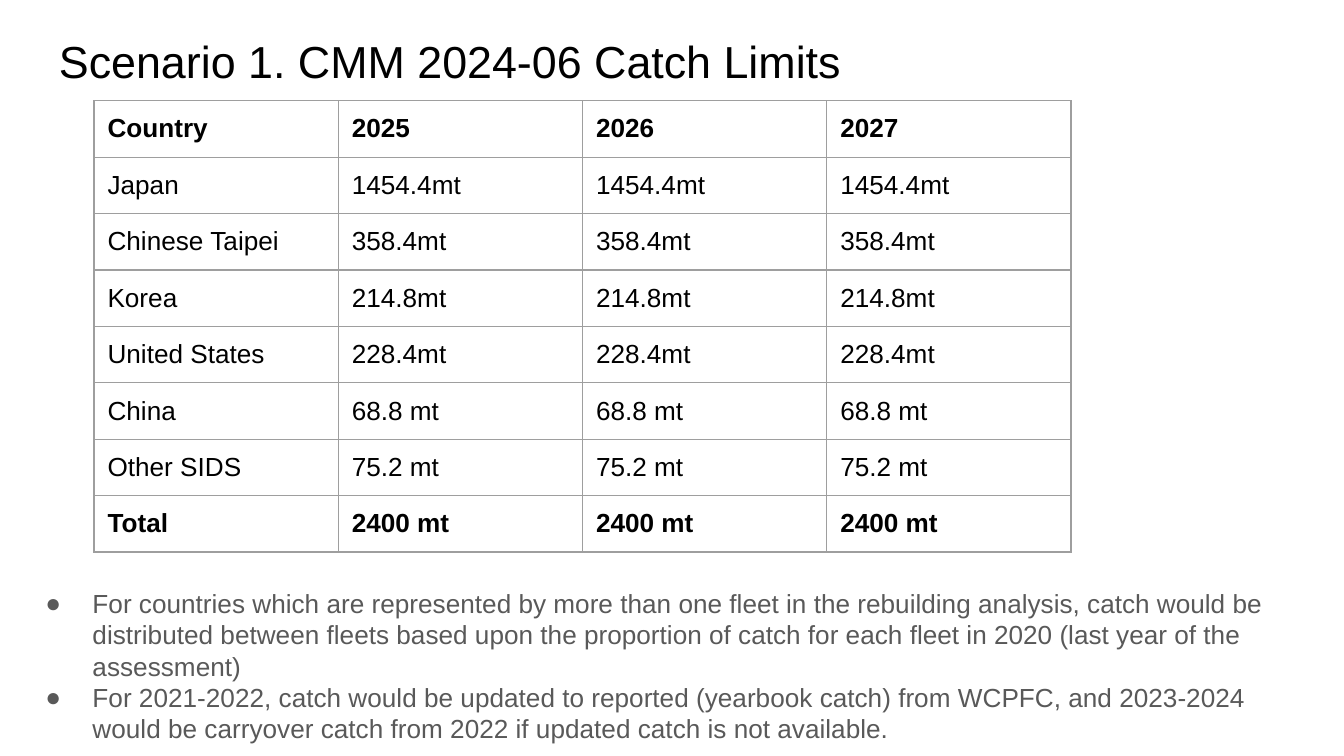
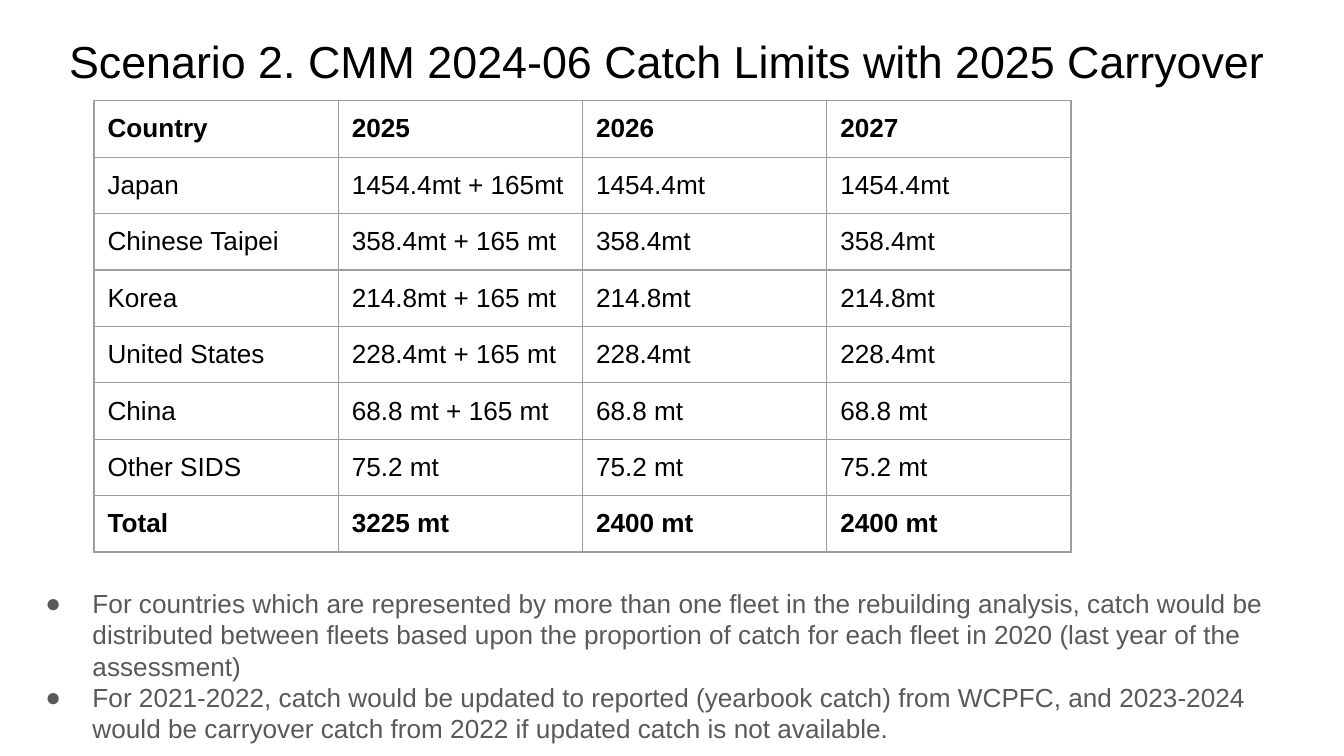
import pptx
import pptx.dml.color
import pptx.enum.text
import pptx.util
from lxml import etree
from pptx.oxml.ns import qn

Inches = pptx.util.Inches
Pt = pptx.util.Pt
BLACK, GREY, BORDER = "000000", "595959", "9E9E9E"
FONT = "Arial"
ALIGN = pptx.enum.text.PP_ALIGN

YEARS = ["2025", "2026", "2027"]
LIMITS = {
    "Japan": "1454.4mt",
    "Chinese Taipei": "358.4mt",
    "Korea": "214.8mt",
    "United States": "228.4mt",
    "China": "68.8 mt",
    "Other SIDS": "75.2 mt",
    "Total": "2400 mt",
}
CARRYOVER = {
    "Japan": "1454.4mt + 165mt",
    "Chinese Taipei": "358.4mt + 165 mt",
    "Korea": "214.8mt + 165 mt",
    "United States": "228.4mt + 165 mt",
    "China": "68.8 mt + 165 mt",
    "Total": "3225 mt",
}
NOTES = [
    "For countries which are represented by more than one fleet in the rebuilding "
    "analysis, catch would be distributed between fleets based upon the proportion "
    "of catch for each fleet in 2020 (last year of the assessment)",
    "For 2021-2022, catch would be updated to reported (yearbook catch) from WCPFC, "
    "and 2023-2024 would be carryover catch from 2022 if updated catch is not available.",
]
# title, left, width, alignment, 2025 limits that differ
SCENARIOS = [
    ("Scenario 1. CMM 2024-06 Catch Limits", 0.34, 9.32, ALIGN.LEFT, {}),
    ("Scenario 2. CMM 2024-06 Catch Limits with 2025 Carryover",
     -0.08, 10.08, ALIGN.CENTER, CARRYOVER),
]


def add_run(p, text, size, color, bold=False):
    r = p.add_run()
    r.text = text
    r.font.name = FONT
    r.font.size = Pt(size)
    r.font.bold = bold
    r.font.color.rgb = pptx.dml.color.RGBColor.from_string(color)


def add_box(s, left, top, width, height):
    """Add a wrapping text box with even insets and return its text frame."""
    tf = s.shapes.add_textbox(Inches(left), Inches(top), Inches(width), Inches(height)).text_frame
    tf.word_wrap = True
    tf.margin_left = tf.margin_right = tf.margin_top = tf.margin_bottom = Inches(0.1)
    return tf


prs = pptx.Presentation()
prs.slide_width = Inches(10)
prs.slide_height = prs.slide_width * 9 // 16

for title, left, width, align, limits_2025 in SCENARIOS:
    s = prs.slides.add_slide(prs.slide_layouts[6])

    p = add_box(s, left, 0.15, width, 0.63).paragraphs[0]
    p.alignment = align
    add_run(p, title, 24, BLACK)

    rows = [["Country"] + YEARS]
    for country, limit in LIMITS.items():
        rows.append([country, limits_2025.get(country, limit), limit, limit])

    table = s.shapes.add_table(len(rows), len(rows[0]), Inches(0.7), Inches(0.75),
                               Inches(7.27), Inches(0.42 * len(rows))).table
    table.horz_banding = False
    for i, row in enumerate(rows):
        for j, text in enumerate(row):
            cell = table.cell(i, j)
            cell.margin_left = cell.margin_right = cell.margin_top = Inches(0.1)
            cell.margin_bottom = Inches(0.08)
            add_run(cell.text_frame.paragraphs[0], text, 14, BLACK, row[0] in ("Country", "Total"))
            tc_pr = cell._tc.get_or_add_tcPr()
            for side in ("a:lnL", "a:lnR", "a:lnT", "a:lnB"):
                ln = etree.SubElement(tc_pr, qn(side), w=str(Pt(0.75)))
                fill = etree.SubElement(ln, qn("a:solidFill"))
                etree.SubElement(fill, qn("a:srgbClr"), val=BORDER)
            cell.fill.background()

    tf = add_box(s, 0.09, 4.27, 9.73, 1.36)
    for i, note in enumerate(NOTES):
        p = tf.paragraphs[0] if i == 0 else tf.add_paragraph()
        p_pr = p._p.get_or_add_pPr()
        p_pr.set("marL", str(Inches(0.5)))
        p_pr.set("indent", str(Inches(-0.35)))
        color = etree.SubElement(p_pr, qn("a:buClr"))
        etree.SubElement(color, qn("a:srgbClr"), val=GREY)
        etree.SubElement(p_pr, qn("a:buFont"), typeface=FONT)
        etree.SubElement(p_pr, qn("a:buChar"), char="●")
        add_run(p, note, 14, GREY)

prs.save("out.pptx")
